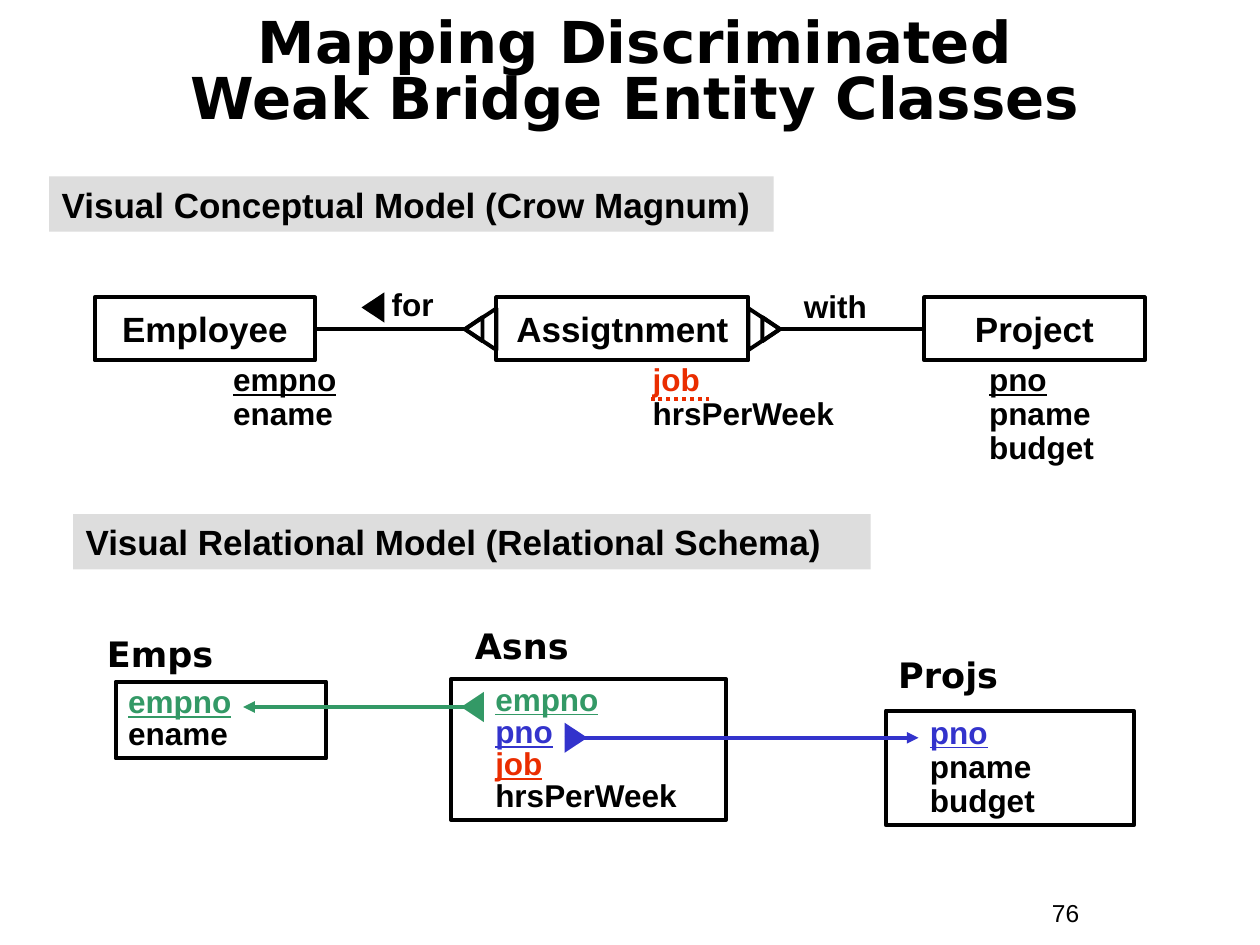
import pptx
import pptx.util
import pptx.dml.color
import pptx.enum.dml
import pptx.enum.shapes
import pptx.enum.text
import lxml.etree
from dataclasses import dataclass
from pptx.oxml.ns import qn

Pt = pptx.util.Pt
RGB = pptx.dml.color.RGBColor.from_string
SHAPE = pptx.enum.shapes.MSO_SHAPE
ALIGN = pptx.enum.text.PP_ALIGN
MIDDLE = pptx.enum.text.MSO_ANCHOR.MIDDLE


@dataclass(frozen=True)
class Theme:
    ink: str = "000000"
    banner: str = "DDDDDD"
    red: str = "EA2D00"
    green: str = "339966"
    blue: str = "3333CC"
    body_font: str = "Arial"
    display_font: str = "DejaVu Sans"
    title: int = 33
    heading: int = 20
    label: int = 18
    number: int = 14
    line: float = 2.25


THEME = Theme()


def write(shape, lines, size, font=THEME.body_font, bold=True,
          align=ALIGN.LEFT, spacing=1.0):
    """Each line is (text, colour, underlined) and becomes a paragraph."""
    frame = shape.text_frame
    frame.word_wrap = True
    for index, (text, colour, underlined) in enumerate(lines):
        para = frame.paragraphs[0] if index == 0 else frame.add_paragraph()
        para.text = text
        para.alignment = align
        para.line_spacing = spacing
        for span in para.runs:
            span.font.name = font
            span.font.size = Pt(size)
            span.font.bold = bold
            span.font.underline = underlined
            span.font.color.rgb = RGB(colour)
    return frame


def plain(text):
    return [(text, THEME.ink, False)]


def add_text(page, left, top, width, height, lines, size, **style):
    box = page.shapes.add_textbox(Pt(left), Pt(top), Pt(width), Pt(height))
    return write(box, lines, size, **style)


def add_shape(page, kind, left, top, width, height, fill=None, line=None):
    shape = page.shapes.add_shape(kind, Pt(left), Pt(top), Pt(width), Pt(height))
    shape.shadow.inherit = False
    if fill:
        shape.fill.solid()
        shape.fill.fore_color.rgb = RGB(fill)
    else:
        shape.fill.background()
    if line:
        shape.line.color.rgb = RGB(line)
        shape.line.width = Pt(THEME.line)
    else:
        shape.line.fill.background()
    return shape


def add_triangle(page, center_x, center_y, base, height, rotation, **paint):
    triangle = add_shape(page, SHAPE.ISOSCELES_TRIANGLE, center_x - base / 2,
                         center_y - height / 2, base, height, **paint)
    triangle.rotation = rotation


def add_marker(page, center_x, center_y, rotation, colour):
    add_triangle(page, center_x, center_y, 17.3, 13, rotation, fill=colour)


def add_line(page, start_x, end_x, y, colour=THEME.ink, arrow=False, dotted=False):
    line = page.shapes.add_connector(pptx.enum.shapes.MSO_CONNECTOR.STRAIGHT,
                                     Pt(start_x), Pt(y), Pt(end_x), Pt(y))
    line.line.color.rgb = RGB(colour)
    line.line.width = Pt(THEME.line)
    if dotted:
        line.line.dash_style = pptx.enum.dml.MSO_LINE.ROUND_DOT
    outline = line.line._get_or_add_ln()
    if arrow:
        lxml.etree.SubElement(outline, qn("a:tailEnd"), type="triangle")
    outline.addnext(outline.makeelement(qn("a:effectLst"), {}))


def add_crows_foot(page, center_x, center_y, direction):
    """Nested triangles whose tips point right (1) or left (-1)."""
    rotation = 90 if direction == 1 else 270
    for shift, base, height in ((0, 23.8, 18), (4, 13.7, 10)):
        add_triangle(page, center_x + direction * shift, center_y, base, height,
                     rotation, line=THEME.ink)


def add_banner(page, left, top, width, text):
    banner = add_shape(page, SHAPE.RECTANGLE, left, top, width, 31.6, fill=THEME.banner)
    write(banner, plain(text), THEME.heading).vertical_anchor = MIDDLE


def add_entity(page, left, top, width, name, attributes, indent):
    """Entity box with its attributes listed below, indented from its left side."""
    height = 36
    box = add_shape(page, SHAPE.RECTANGLE, left, top, width, height, line=THEME.ink)
    frame = write(box, plain(name), THEME.heading, align=ALIGN.CENTER)
    frame.vertical_anchor = MIDDLE
    frame.word_wrap = False
    add_text(page, left + indent, top + height - 1.2, 126, 22 * len(attributes),
             attributes, THEME.label, spacing=0.9)


def add_relation(page, left, top, width, height, name, name_shift, columns,
                 indent, spacing):
    """Table box with its name above, moved by name_shift from the box corner."""
    shift_x, shift_y = name_shift
    add_text(page, left + shift_x, top + shift_y, 155, 31.6, plain(name),
             THEME.heading, font=THEME.display_font)
    box = add_shape(page, SHAPE.RECTANGLE, left, top, width, height, line=THEME.ink)
    frame = write(box, columns, THEME.label, spacing=spacing)
    frame.vertical_anchor = pptx.enum.text.MSO_ANCHOR.TOP
    frame.margin_left = Pt(7.2 + indent)


def add_conceptual_model(page, left, top):
    add_banner(page, left, top, 414, "Visual Conceptual Model (Crow Magnum)")
    ink, row, middle = THEME.ink, top + 69.2, top + 87.3
    add_line(page, left + 153.3, left + 238.3, middle)
    add_line(page, left + 499, left + 417.6, middle)
    entities = (
        (26, 126, "Employee", 72, [("empno", ink, True), ("ename", ink, False)]),
        (255.6, 144, "Assigtnment", 82.1,
         [("job", THEME.red, False), ("hrsPerWeek", ink, False)]),
        (500, 126, "Project", 30,
         [("pno", ink, True), ("pname", ink, False), ("budget", ink, False)]),
    )
    for offset, width, name, indent, attributes in entities:
        add_entity(page, left + offset, row, width, name, attributes, indent)
    add_line(page, left + 377.3, left + 342.7, top + 127.4, THEME.red, dotted=True)
    for offset, drop, width, role in ((165.6, 58.3, 84.2, "for"), (395.3, 59.8, 108, "with")):
        add_text(page, left + offset, top + drop, width, 28.8, plain(role),
                 THEME.label, align=ALIGN.CENTER)
    add_marker(page, left + 185, top + 74.9, 270, ink)
    add_crows_foot(page, left + 246.6, middle, -1)
    add_crows_foot(page, left + 408.6, middle, 1)


def add_relational_model(page, left, top):
    add_banner(page, left, top, 455.8, "Visual Relational Model (Relational Schema)")
    ink, red, green, blue = THEME.ink, THEME.red, THEME.green, THEME.blue
    add_relation(page, left + 24.4, top + 95.7, 120.2, 43.9, "Emps", (-12.2, -31.7),
                 [("empno", green, True), ("ename", ink, False)], 0, 0.85)
    add_relation(page, left + 216, top + 94.3, 157, 80.6, "Asns", (6.5, -34.6),
                 [("empno", green, True), ("pno", blue, True), ("job", red, True),
                  ("hrsPerWeek", ink, False)], 18, 0.85)
    add_relation(page, left + 464.4, top + 112.3, 141.8, 65.5, "Projs", (0, -36),
                 [("pno", blue, True), ("pname", ink, False), ("budget", ink, False)],
                 18, 0.9)
    keys = ((234, 97.2, 228.2, 110.2, 270, green), (280.8, 483.1, 287.3, 127.8, 90, blue))
    for start, end, marker, drop, rotation, colour in keys:
        add_line(page, left + start, left + end, top + drop, colour, arrow=True)
        add_marker(page, left + marker, top + drop, rotation, colour)


def main():
    deck = pptx.Presentation()
    deck.slide_width, deck.slide_height = Pt(720), Pt(540)
    page = deck.slides.add_slide(deck.slide_layouts[6])
    title = add_text(page, 23.8, 18.7, 678.2, 48.2,
                     plain("Mapping Discriminated\vWeak Bridge Entity Classes"),
                     THEME.title, font=THEME.display_font, align=ALIGN.CENTER, spacing=0.8)
    title.vertical_anchor = MIDDLE
    add_conceptual_model(page, 28.1, 100.8)
    add_relational_model(page, 41.8, 293.8)
    add_text(page, 594, 509.8, 66.2, 24.5, plain("76"), THEME.number, bold=False)
    deck.save("out.pptx")


if __name__ == "__main__":
    main()
